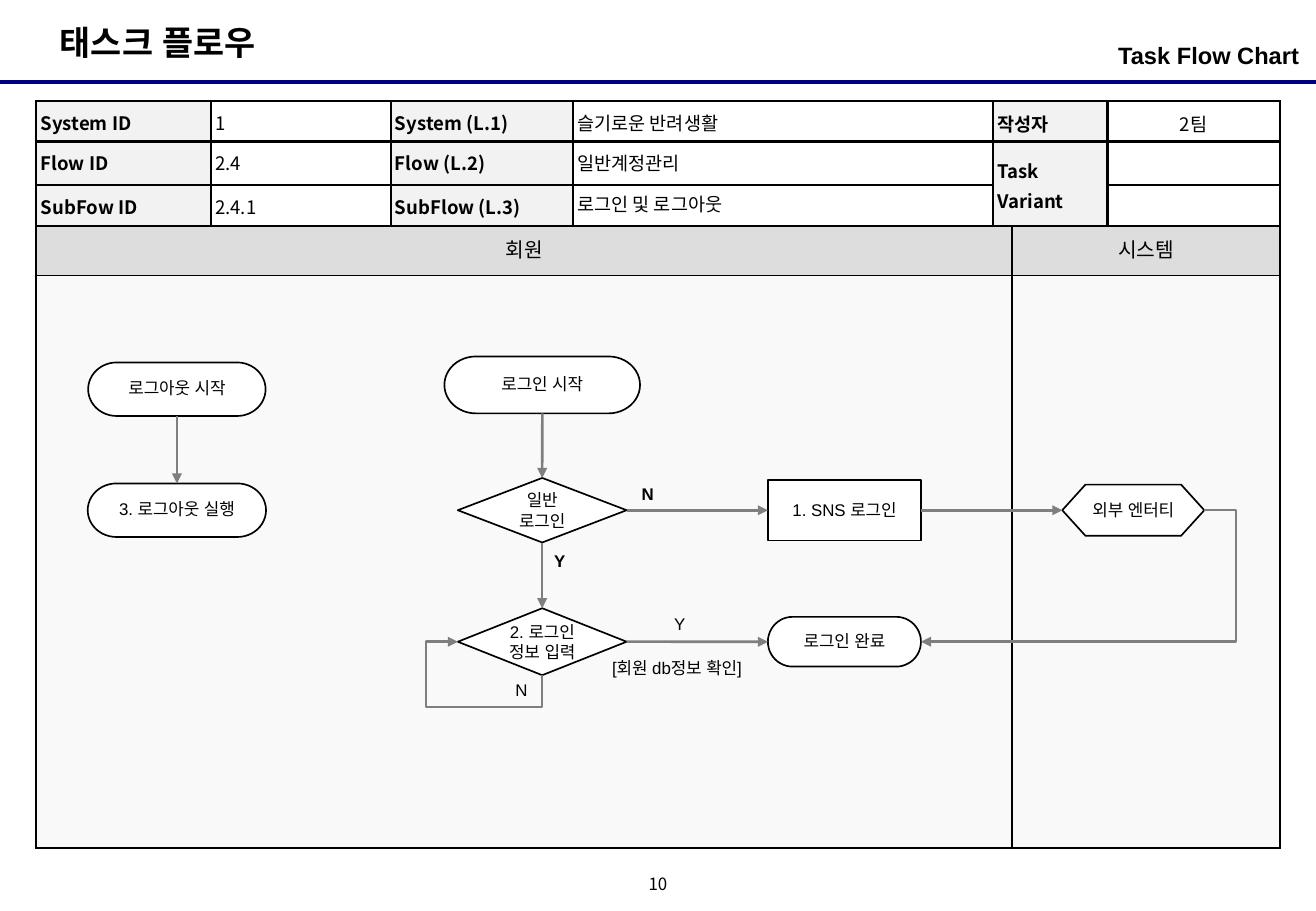
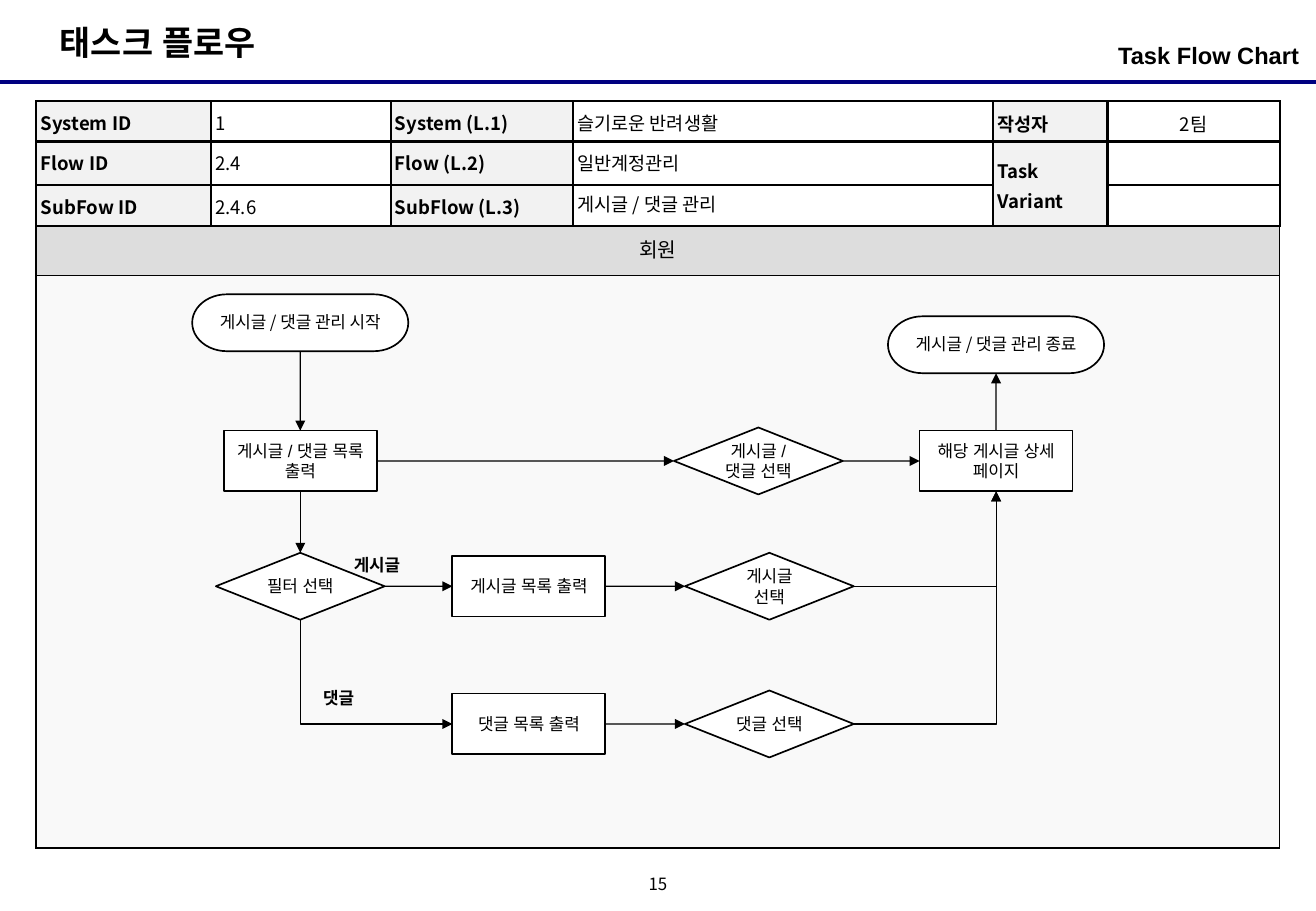
from lxml import etree
from pptx import Presentation
from pptx import util as u
from pptx.dml import color
from pptx.enum import shapes as sh, text as tx
from pptx.oxml import ns

SANS, KOR = "Arial", "Noto Sans CJK KR"
BLACK, WHITE, NAVY, GRAY = "000000", "FFFFFF", "000080", "7F7F7F"
LABEL, HEAD, BODY = "F2F2F2", "DDDDDD", "F9F9F9"
WIDE, TALL = 27.52, 19.05
LEFT, TOP = 0.76, 2.12
LANE = (LEFT, 4.73)
FRAME = 8.33
LEAD, MID, END = tx.PP_ALIGN.LEFT, tx.PP_ALIGN.CENTER, tx.PP_ALIGN.RIGHT
PILL = sh.MSO_SHAPE.FLOWCHART_TERMINATOR
GEM = sh.MSO_SHAPE.FLOWCHART_DECISION
RECT = sh.MSO_SHAPE.RECTANGLE
HEX = sh.MSO_SHAPE.HEXAGON
SIDES = {"T": (0, 0.5, 0), "L": (1, 0, 0.5), "B": (2, 0.5, 1), "R": (3, 1, 0.5)}
HEXES = {"R": 0, "L": 3}


def rgb(code):
    """Turn a hex string into a colour."""
    return color.RGBColor.from_string(code)


def sub(parent, tag, **attrs):
    """Append an XML child and return it."""
    return etree.SubElement(parent, ns.qn(tag), attrs)


def write(frame, words, size, font=SANS, bold=False, align=LEAD, space=None):
    """Fill a text frame and style its paragraphs."""
    frame.text = words
    for para in frame.paragraphs:
        para.alignment = align
        para.line_spacing = space
        for run in para.runs:
            run.font.size = u.Pt(size)
            run.font.bold = bold
            run.font.name = font
            run.font.color.rgb = rgb(BLACK)
            sub(run.font._element, "a:ea", typeface=font)


def pad(item, wide, high):
    """Set the inner margins of a frame or cell."""
    item.margin_left = item.margin_right = u.Cm(wide)
    item.margin_top = item.margin_bottom = u.Cm(high)


def label(slide, box, words, size=10, ins=(0.25, 0.13), mid=False, **style):
    """Place a plain text box."""
    frame = slide.shapes.add_textbox(*map(u.Cm, box)).text_frame
    frame.word_wrap = True
    pad(frame, *ins)
    if mid:
        frame.vertical_anchor = tx.MSO_ANCHOR.MIDDLE
    write(frame, words, size, **style)


def stroke(line, code, width):
    """Style a connector and drop its shadow."""
    line.line.color.rgb = rgb(code)
    line.line.width = u.Pt(width)
    sub(line._element.spPr, "a:effectLst")


def page(deck, number):
    """Add a slide with its title, rule and page number."""
    slide = deck.slides.add_slide(deck.slide_layouts[6])
    rule = slide.shapes.add_connector(
        sh.MSO_CONNECTOR.STRAIGHT, 0, u.Cm(1.71), u.Cm(WIDE), u.Cm(1.71))
    stroke(rule, NAVY, 2.25)
    label(slide, (1, 0.33, 5.03, 1.12), "태스크 플로우", 20, bold=True)
    label(slide, (13.34, 18.21, 0.84, 0.64), number, ins=(0, 0), mid=True,
          font=KOR, align=MID, space=0.8)
    label(slide, (18.76, 0.72, 8.41, 0.99), "Task Flow Chart", 14,
          ins=(0, 0.13), bold=True, align=END)
    return slide


def edge(cell, widths):
    """Draw cell borders, given left, right, top and bottom widths."""
    props = cell._tc.get_or_add_tcPr()
    for side, width in zip("LRTB", widths):
        line = sub(props, "a:ln" + side, w=str(u.Pt(width)))
        sub(sub(line, "a:solidFill"), "a:srgbClr", val=BLACK)


def grid(slide, spot, cols, rows):
    """Add an unstyled table with the given columns and rows."""
    frame = slide.shapes.add_table(
        len(rows), len(cols), *map(u.Cm, (*spot, FRAME, FRAME)))
    table = frame.table
    table.first_row = table.horz_banding = False
    for col, wide in zip(table.columns, cols):
        col.width = u.Cm(wide)
    for row, high in zip(table.rows, rows):
        row.height = u.Cm(high)
    frame.width = frame.height = u.Cm(FRAME)
    return table


def info(slide, spot, code, name):
    """Add the table that identifies the flow."""
    cells = [
        ["System ID", "1", "System (L.1)", "슬기로운 반려생활", "작성자", "2팀"],
        ["Flow ID", "2.4", "Flow (L.2)", "일반계정관리", "Task Variant", ""],
        ["SubFow ID", code, "SubFlow (L.3)", name, "", ""]]
    table = grid(slide, spot, (3.65, 3.76, 3.81, 8.79, 2.39, 3.6),
                 (0.84, 0.91, 0.86))
    table.cell(1, 4).merge(table.cell(2, 4))
    for i, row in enumerate(cells):
        for j, words in enumerate(row):
            cell = table.cell(i, j)
            pad(cell, 0.09, 0.1)
            edge(cell, [1.5] * 4)
            tag = j % 2 == 0
            if tag:
                cell.fill.solid()
                cell.fill.fore_color.rgb = rgb(LABEL)
            else:
                cell.fill.background()
            if j > 3:
                cell.vertical_anchor = tx.MSO_ANCHOR.MIDDLE
            write(cell.text_frame, words, 11, KOR, tag,
                  MID if j == 5 else LEAD, 1 if (i, j) == (2, 3) else 1.1)
            if not words:
                cell.text_frame.paragraphs[0].font.size = u.Pt(11)


def lanes(slide, spot, names, cols, right):
    """Add the swim lanes with their headings."""
    table = grid(slide, spot, cols, (1.03, 11.97))
    for j, name in enumerate(names):
        for i, (fill, ends) in enumerate(
                ((HEAD, (1.5, 0.75)), (BODY, (0.75, 1.5)))):
            cell = table.cell(i, j)
            edge(cell, (1.5, right, *ends))
            cell.fill.solid()
            cell.fill.fore_color.rgb = rgb(fill)
        head = table.cell(0, j)
        head.vertical_anchor = tx.MSO_ANCHOR.MIDDLE
        write(head.text_frame, name, 12, align=MID)


def node(slide, spot, kind, x, y, wide, high, words, font=SANS):
    """Add a flow step centred on x, y within the lanes."""
    box = spot[0] + x - wide / 2, spot[1] + y - high / 2, wide, high
    step = slide.shapes.add_shape(kind, *map(u.Cm, box))
    step.shadow.inherit = False
    step.fill.solid()
    step.fill.fore_color.rgb = rgb(WHITE)
    step.line.color.rgb = rgb(BLACK)
    step.line.width = u.Pt(1)
    if kind == HEX:
        step.adjustments[0] = 0.453
    frame = step.text_frame
    frame.word_wrap = True
    frame.vertical_anchor = tx.MSO_ANCHOR.MIDDLE
    pad(frame, 0.05, 0)
    write(frame, words, 10, font, align=MID, space=0.9 if kind == PILL else None)
    return step


def port(step, side):
    """Return the site number and point on one side of a step."""
    site, x, y = SIDES[side]
    if step.auto_shape_type == HEX:
        site = HEXES[side]
    return site, int(step.left + step.width * x), int(step.top + step.height * y)


def bend(line, legs, turn, adj):
    """Shape an elbow with its number of legs, rotation and adjustments."""
    wide, high = line.width, line.height
    midx, midy = line.left + wide // 2, line.top + high // 2
    if turn % 180:
        wide, high = high, wide
    line.left, line.top = midx - wide // 2, midy - high // 2
    line.width, line.height = wide, high
    xfrm = line._element.spPr.find(ns.qn("a:xfrm"))
    xfrm.attrib.pop("flipV", None)
    xfrm.set("flipH", "1")
    xfrm.set("rot", str(turn * 60000))
    geom = line._element.spPr.find(ns.qn("a:prstGeom"))
    geom.set("prst", f"bentConnector{legs}")
    for old in list(geom):
        geom.remove(old)
    guides = sub(geom, "a:avLst")
    for i, part in enumerate(adj, 1):
        sub(guides, "a:gd", name=f"adj{i}", fmla=f"val {round(part * 100000)}")


def link(slide, steps, ends, code, width, elbow=None):
    """Join two steps with an arrow."""
    first, out, last, into = ends
    site, x, y = port(steps[first], out)
    goal, tox, toy = port(steps[last], into)
    kind = sh.MSO_CONNECTOR.ELBOW if elbow else sh.MSO_CONNECTOR.STRAIGHT
    line = slide.shapes.add_connector(kind, x, y, tox, toy)
    line.begin_connect(steps[first], site)
    line.end_connect(steps[last], goal)
    line.begin_x, line.begin_y, line.end_x, line.end_y = x, y, tox, toy
    if elbow:
        bend(line, *elbow)
    stroke(line, code, width)
    sub(line.line._get_or_add_ln(), "a:tailEnd", type="triangle")


def flow(slide, spot, nodes, links, notes, code, width):
    """Draw the steps, arrows and notes of a flow chart."""
    steps = {key: node(slide, spot, *rest) for key, *rest in nodes}
    for ends, *elbow in links:
        link(slide, steps, ends.split(), code, width, *elbow)
    for x, y, wide, words, bold in notes:
        label(slide, (spot[0] + x, spot[1] + y, wide, 0.69), words, bold=bold)


def login(deck):
    """Build the login and logout slide."""
    slide = page(deck, "10")
    info(slide, (LEFT, TOP), "2.4.1", "로그인 및 로그아웃")
    lanes(slide, LANE, ("회원", "시스템"), (20.4, 5.61), 1.5)
    out, main, done, ext = 2.94, 10.58, 16.9, 22.94
    high, low = 5.94, 8.69
    nodes = [
        ("start", PILL, main, 3.32, 4.09, 1.19, "로그인 시작"),
        ("leave", PILL, out, 3.41, 3.71, 1.12, "로그아웃 시작"),
        ("exit", PILL, out, high, 3.73, 1.12, "3. 로그아웃 실행"),
        ("done", PILL, done, low, 3.2, 1.04, "로그인 완료"),
        ("type", GEM, main, high, 3.53, 1.35, "일반 로그인"),
        ("sns", RECT, done, high, 3.2, 1.27, "1. SNS 로그인"),
        ("ext", HEX, ext, high, 2.97, 1.07, "외부 엔터티"),
        ("form", GEM, main, low, 3.53, 1.4, "2. 로그인\n정보 입력")]
    links = [
        ("start B type T",), ("leave B exit T",), ("type B form T",),
        ("type R sns L",), ("form R done L",), ("sns R ext L",),
        ("ext R done R", (3, 0, [-0.112])),
        ("form B form L", (4, 90, [-0.948, 1.375]))]
    notes = [
        (13.09, 7.98, 2, "Y", False), (9.77, 9.35, 2, "N", False),
        (10.58, 6.65, 0.97, "Y", True), (12.41, 5.26, 0.97, "N", True),
        (11.79, 8.89, 3.78, "[회원 db정보 확인]", False)]
    flow(slide, LANE, nodes, links, notes, GRAY, 1.5)


def posts(deck):
    """Build the post and comment slide."""
    slide = page(deck, "15")
    lanes(slide, LANE, ("회원",), (26,), 0.75)
    info(slide, (LEFT, TOP), "2.4.6", "게시글 / 댓글 관리")
    main, sort, pick, last = 5.52, 10.3, 15.33, 20.07
    high, mid, low = 4.91, 7.53, 10.41
    pill, box, gem = (4.52, 1.19), (3.2, 1.27), (3.53, 1.4)
    nodes = [
        ("start", PILL, main, 2.02, *pill, "게시글 / 댓글 관리 시작", KOR),
        ("list", RECT, main, high, *box, "게시글 / 댓글 목록 출력"),
        ("page", RECT, last, high, *box, "해당 게시글 상세 페이지"),
        ("end", PILL, last, 2.48, *pill, "게시글 / 댓글 관리 종료", KOR),
        ("sift", GEM, main, mid, *gem, "필터 선택"),
        ("post", GEM, pick, mid, *gem, "게시글 선택"),
        ("posts", RECT, sort, mid, *box, "게시글 목록 출력"),
        ("any", GEM, 15.1, high, *gem, "게시글 / 댓글 선택"),
        ("notes", RECT, sort, low, *box, "댓글 목록 출력"),
        ("note", GEM, pick, low, *gem, "댓글 선택")]
    links = [
        ("start B list T",), ("list B sift T",), ("sift R posts L",),
        ("sift B notes L", (2, 270, [])), ("list R any L",),
        ("any R page L",), ("note R page B", (2, 180, [])),
        ("post R page B", (2, 180, [])), ("posts R post L",),
        ("notes R note L",), ("page T end B",)]
    notes = [(6.39, 6.73, 2.03, "게시글", True), (5.75, 9.53, 2.03, "댓글", True)]
    flow(slide, LANE, nodes, links, notes, BLACK, 0.75)


deck = Presentation()
deck.slide_width, deck.slide_height = u.Cm(WIDE), u.Cm(TALL)
login(deck)
posts(deck)
deck.save("out.pptx")
